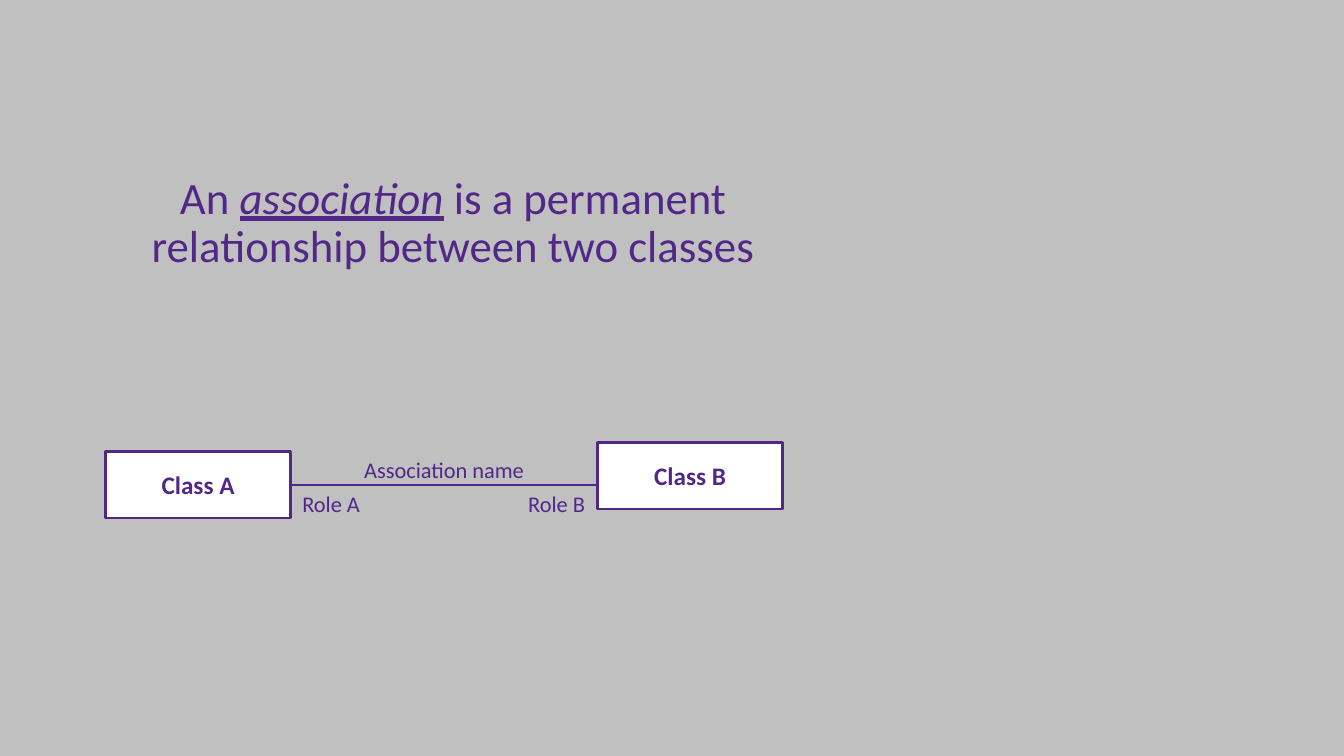
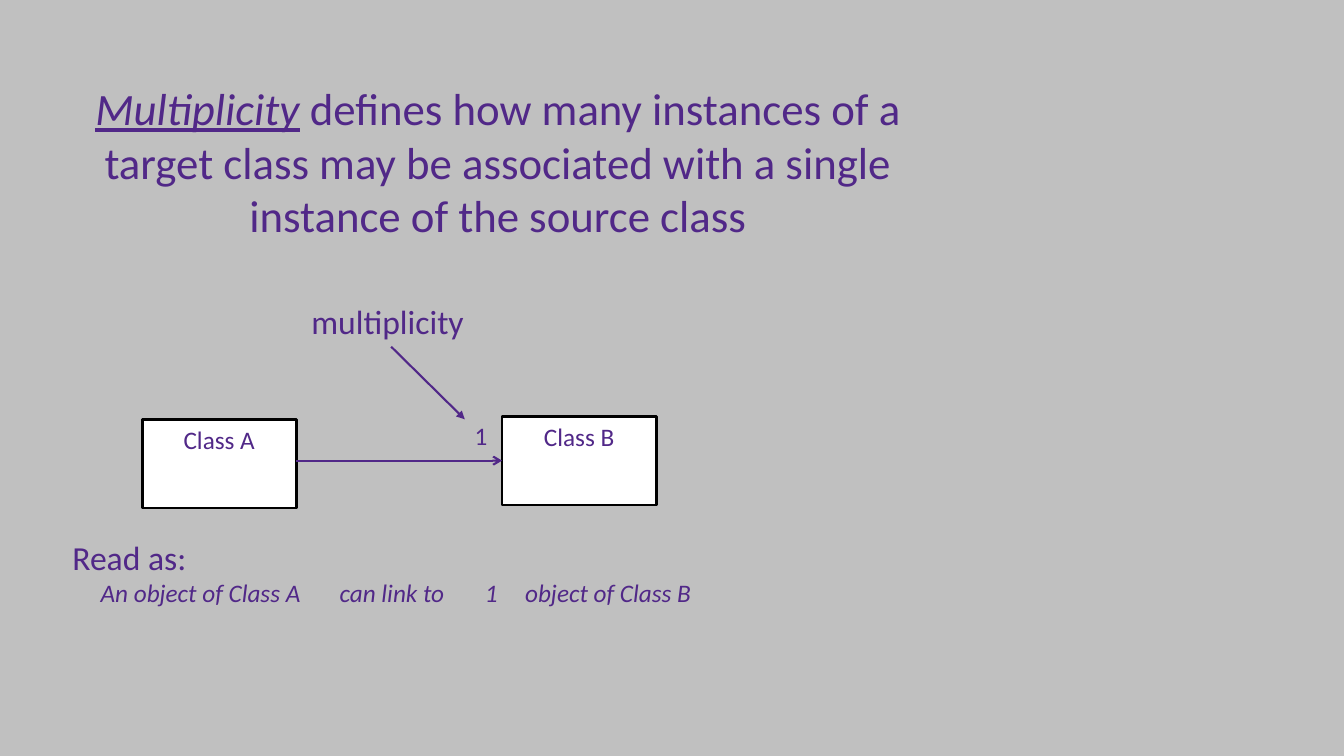
"""Build two slides on class associations and multiplicity."""
import dataclasses

import pptx
import pptx.dml.color
import pptx.enum.shapes
import pptx.enum.text
import pptx.oxml
import pptx.oxml.ns
import pptx.util

ALIGN = pptx.enum.text.PP_ALIGN
ANCHOR = pptx.enum.text.MSO_ANCHOR
KEY = {"italic": True, "underline": True}
SCALE = 9144


def px(num):
    """Turn px into EMU."""
    return pptx.util.Emu(num * SCALE)


def node(base, tag, **attrs):
    """Add a drawing element to a parent."""
    kid = pptx.oxml.parse_xml(f"<a:{tag} {pptx.oxml.ns.nsdecls('a')}/>")
    for name, val in attrs.items():
        kid.set(name, str(val))
    base.append(kid)
    return kid


@dataclasses.dataclass(frozen=True)
class Theme:
    """Colours, font and type sizes."""
    back: str = "C0C0C0"
    ink: str = "512888"
    dark: str = "000000"
    paper: str = "FFFFFF"
    font: str = "Calibri"
    title: int = 32
    head: int = 24
    body: int = 18
    label: int = 16
    edge: float = 2
    line: float = 1.5


class Deck:
    """Hold the style and the current slide."""

    def __init__(self, theme):
        """Start an empty deck."""
        self.theme = theme
        self.prs = pptx.Presentation()
        self.prs.slide_width, self.prs.slide_height = px(1333), px(750)
        self.paint(self.prs.slide_master.background.fill, theme.back)
        self.slide = None

    def paint(self, fill, tone):
        """Give a fill one solid colour."""
        fill.solid()
        fill.fore_color.rgb = pptx.dml.color.RGBColor.from_string(tone)

    def page(self):
        """Add a blank slide."""
        self.slide = self.prs.slides.add_slide(self.prs.slide_layouts[6])

    def letter(self, para, runs, size, **form):
        """Fill a paragraph with styled runs."""
        for words, extra in runs:
            run = para.add_run()
            run.text = words
            look = {"name": self.theme.font, "size": pptx.util.Pt(size)}
            for name, val in {**look, **form, **extra}.items():
                setattr(run.font, name, val)
            self.paint(run.font.fill, self.theme.ink)

    def text(self, spot, words, size, align=ALIGN.LEFT):
        """Add a text box and return its frame."""
        frame = self.slide.shapes.add_textbox(*map(px, spot)).text_frame
        frame.word_wrap = True
        para = frame.paragraphs[0]
        para.alignment = align
        runs = [(words, {})] if isinstance(words, str) else words
        self.letter(para, runs, size)
        return frame

    def title(self, spot, runs, space=1.0):
        """Add a centred statement."""
        frame = self.text(spot, runs, self.theme.title, ALIGN.CENTER)
        frame.paragraphs[0].line_spacing = space

    def box(self, spot, name, tone, anchor=ANCHOR.TOP, bold=False):
        """Add a class box."""
        kind = pptx.enum.shapes.MSO_SHAPE.RECTANGLE
        shape = self.slide.shapes.add_shape(kind, *map(px, spot))
        shape.shadow.inherit = False
        self.paint(shape.fill, self.theme.paper)
        self.paint(shape.line.fill, tone)
        shape.line.width = pptx.util.Pt(self.theme.edge)
        frame = shape.text_frame
        frame.vertical_anchor = anchor
        para = frame.paragraphs[0]
        para.alignment = ALIGN.CENTER
        self.letter(para, [(name, {})], self.theme.body, bold=bold)
        return shape

    def link(self, start, stop, tip=None):
        """Add a straight line, with an arrowhead if named."""
        kind = pptx.enum.shapes.MSO_CONNECTOR.STRAIGHT
        line = self.slide.shapes.add_connector(kind, *map(px, start + stop))
        self.paint(line.line.fill, self.theme.ink)
        line.line.width = pptx.util.Pt(self.theme.line)
        props = line._element.spPr
        if tip:
            node(props.find(pptx.oxml.ns.qn("a:ln")), "tailEnd", type=tip)
        node(props, "effectLst")
        return line

    def tabbed(self, frame, parts, stops):
        """Add an italic line with each part at its tab stop."""
        para = frame.add_paragraph()
        tabs = node(para._p.get_or_add_pPr(), "tabLst")
        for stop in stops:
            node(tabs, "tab", pos=px(stop), algn="l")
        words = "".join("\t" + part for part in parts)
        self.letter(para, [(words, {})], self.theme.body, italic=True)


def bond(deck):
    """Draw the association slide."""
    look = deck.theme
    deck.page()
    deck.title((123, 169, 653, 101), [
        ("An ", {}), ("association", KEY),
        (" is a permanent relationship between two classes", {})], 0.9)
    first, _ = [
        deck.box((left, top, 183, 66), name, look.ink, ANCHOR.MIDDLE, True)
        for left, top, name in ((105, 448, "Class A"), (593, 439, "Class B"))]
    deck.link((288, 481), (593, 481)).begin_connect(first, 3)
    deck.text((347, 448, 187, 39), "Association name", look.label, ALIGN.CENTER)
    for left, name in ((290, "Role A"), (514, "Role B")):
        deck.text((left, 481, 100, 39), name, look.label)


def count(deck):
    """Draw the multiplicity slide."""
    look = deck.theme
    deck.page()
    deck.title((62, 75, 864, 172), [
        ("Multiplicity", KEY),
        (" defines how many instances of a target class may be associated"
         " with a single instance of the source class", {})])
    deck.text((299, 294, 179, 50), "multiplicity", look.head)
    deck.link((388, 344), (461, 416), "triangle")
    _, last = [
        deck.box((left, top, 153, 88), name, look.dark)
        for left, top, name in ((141, 416, "Class A"), (498, 413, "Class B"))]
    deck.link((294, 457), (498, 457), "arrow").end_connect(last, 1)
    deck.text((461, 412, 41, 66), "1", look.body)
    note = deck.text((62, 528, 643, 81), "Read as:", look.head)
    parts = "An object of Class A", "can link to", "1", "object of Class B"
    deck.tabbed(note, parts, (28, 265, 409, 449))


def main():
    """Build and save the deck."""
    deck = Deck(Theme())
    bond(deck)
    count(deck)
    deck.prs.save("out.pptx")


if __name__ == "__main__":
    main()
